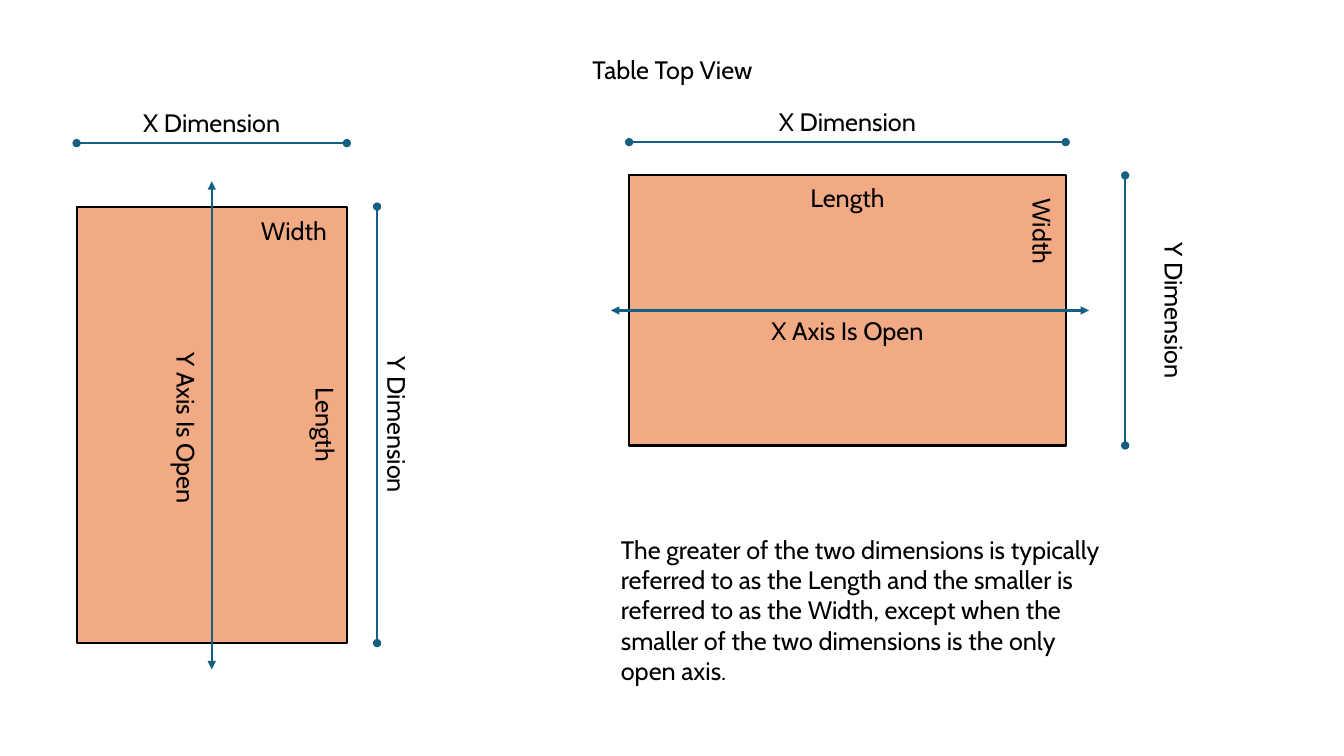
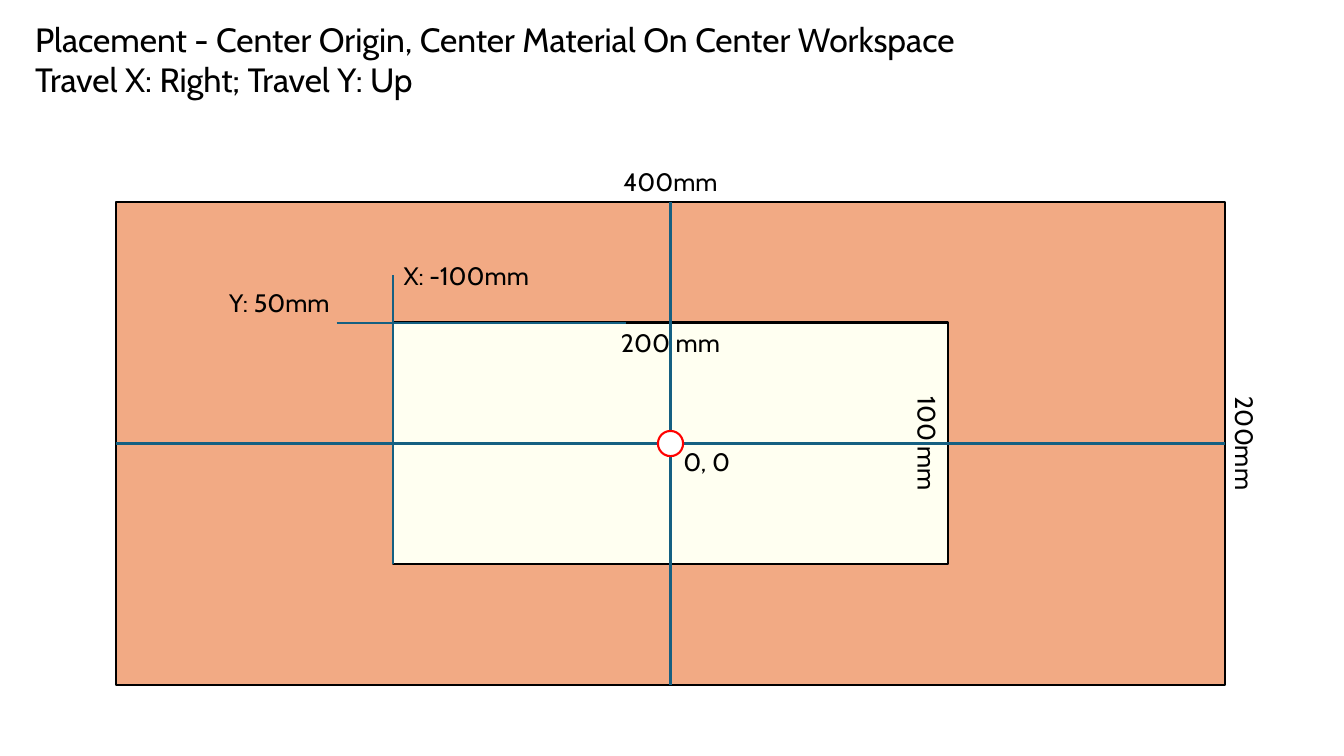
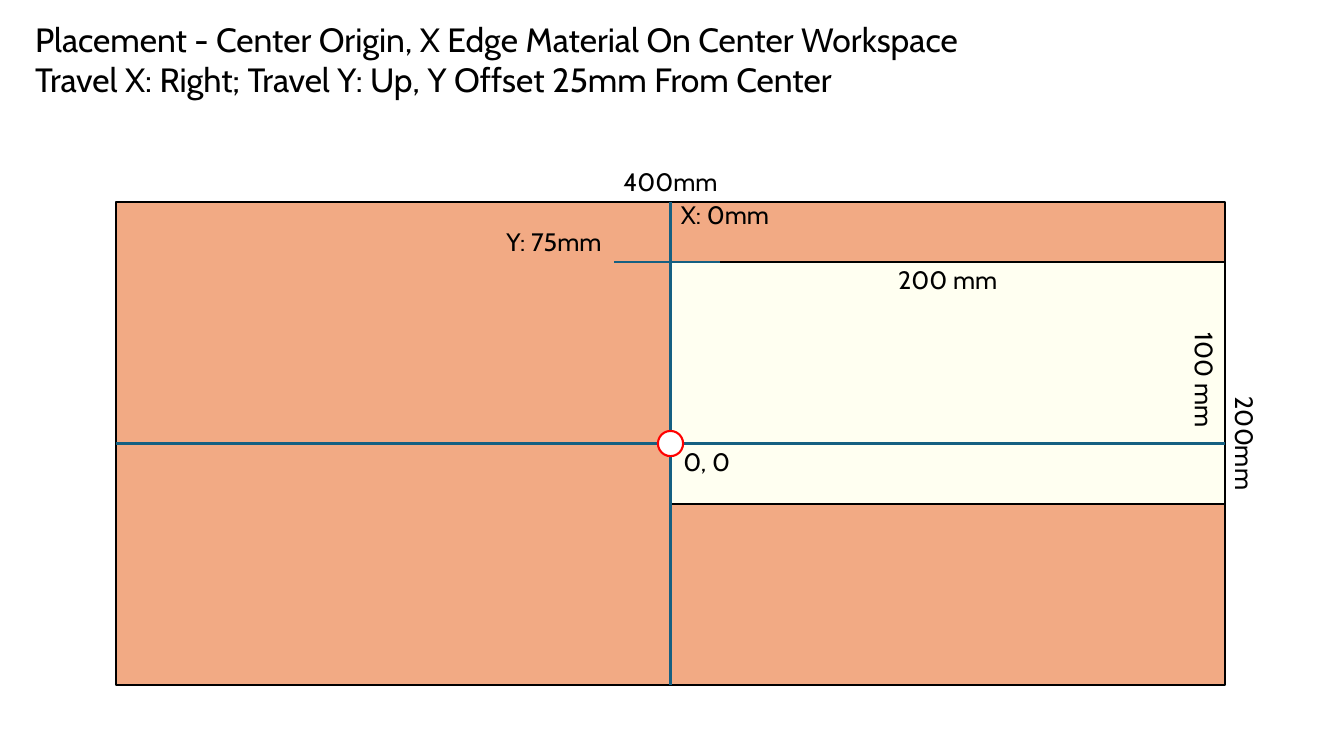
import lxml.etree
import pptx
import pptx.dml.color
import pptx.enum.shapes
import pptx.enum.text
import pptx.oxml.ns
import pptx.util

FONT = "Cabin"
BLACK, WHITE, RED = "000000", "FFFFFF", "FF0000"
TABLE, MATERIAL, LINE = "F2AA84", "FFFFF1", "156082"
STROKE = 1.5
LABEL_H = 0.4

SHAPE = pptx.enum.shapes.MSO_SHAPE
ALIGN = pptx.enum.text.PP_ALIGN
ANCHOR = pptx.enum.text.MSO_ANCHOR
AUTO = pptx.enum.text.MSO_AUTO_SIZE
inch = pptx.util.Inches


def rgb(color):
    return pptx.dml.color.RGBColor.from_string(color)


def add_text(slide, box, paragraphs, size=18, align=ALIGN.LEFT,
             anchor=ANCHOR.TOP, auto=AUTO.NONE):
    sp = slide.shapes.add_textbox(*map(inch, box))
    tf = sp.text_frame
    tf.word_wrap = True
    tf.auto_size = auto
    tf.vertical_anchor = anchor
    for i, text in enumerate(paragraphs):
        p = tf.paragraphs[0] if i == 0 else tf.add_paragraph()
        p.alignment = align
        r = p.add_run()
        r.text = text
        r.font.name = FONT
        r.font.size = pptx.util.Pt(size)
        r.font.color.rgb = rgb(BLACK)
    return sp


def add_label(slide, text, cx, cy, width, align=ALIGN.CENTER, rotation=0):
    """One line of text around the centre (cx, cy); width runs along the text."""
    box = (cx - width / 2, cy - LABEL_H / 2, width, LABEL_H)
    sp = add_text(slide, box, [text], align=align, auto=AUTO.SHAPE_TO_FIT_TEXT)
    sp.rotation = rotation


def add_outlined(slide, kind, box, fill, line=BLACK):
    sp = slide.shapes.add_shape(kind, *map(inch, box))
    sp.shadow.inherit = False
    sp.fill.solid()
    sp.fill.fore_color.rgb = rgb(fill)
    sp.line.color.rgb = rgb(line)
    sp.line.width = pptx.util.Pt(STROKE)
    return sp


def add_line(slide, x1, y1, x2, y2, ends=None):
    """Straight line; ends names the arrowhead used at both ends."""
    line = slide.shapes.add_connector(
        pptx.enum.shapes.MSO_CONNECTOR.STRAIGHT, *map(inch, (x1, y1, x2, y2)))
    line.line.color.rgb = rgb(LINE)
    line.line.width = pptx.util.Pt(STROKE)
    qn = pptx.oxml.ns.qn
    if ends:
        ln = line.line._get_or_add_ln()
        for tag in ("a:headEnd", "a:tailEnd"):
            lxml.etree.SubElement(ln, qn(tag), type=ends)
    lxml.etree.SubElement(line._element.spPr, qn("a:effectLst"))
    return line


def add_dimensions(slide, box, x_gap, y_gap, y_label_gap):
    """Dimension lines above and to the right of the box."""
    left, top, width, height = box
    y, x = top - x_gap, left + width + y_gap
    add_label(slide, "X Dimension", left + width / 2, y - 0.2, width)
    add_line(slide, left, y, left + width, y, "oval")
    add_label(slide, "Y Dimension", x + y_label_gap, top + height / 2, height,
              rotation=90)
    add_line(slide, x, top, x, top + height, "oval")


def draw_tall_table(slide, box):
    left, top, width, height = box
    right, cx, cy = left + width, left + width / 2, top + height / 2
    add_outlined(slide, SHAPE.RECTANGLE, box, TABLE)
    add_dimensions(slide, box, 0.63, 0.3, 0.2)
    add_label(slide, "Y Axis Is Open", cx - 0.25, cy + 0.03, 1.83, rotation=90)
    add_line(slide, cx, top + height + 0.26, cx, top - 0.25, "triangle")
    add_label(slide, "Length", right - 0.21, cy, 1.86, rotation=90)
    add_label(slide, "Width", right - 0.77, top + 0.24, 1.34, ALIGN.RIGHT)


def draw_wide_table(slide, box):
    left, top, width, height = box
    right, cx, cy = left + width, left + width / 2, top + height / 2
    add_outlined(slide, SHAPE.RECTANGLE, box, TABLE)
    add_dimensions(slide, box, 0.33, 0.59, 0.49)
    add_label(slide, "X Axis Is Open", cx, cy + 0.2, 1.83)
    add_line(slide, right + 0.23, cy, left - 0.18, cy, "triangle")
    add_label(slide, "Length", cx, top + 0.22, 2.68)
    add_label(slide, "Width", right - 0.23, top + 0.67, 1.08, ALIGN.LEFT, 90)


def build_table_slide(slide):
    short, long = 2.68, 4.33
    add_label(slide, "Table Top View", 6.67, 0.69, 3.72)
    draw_tall_table(slide, (0.76, 2.05, short, long))
    draw_wide_table(slide, (6.24, 1.74, long, short))
    add_text(slide, (6.06, 5.14, 4.97, 1.82), [
        "The greater of the two dimensions is typically referred to as the "
        "Length and the smaller is referred to as the Width, except when the "
        "smaller of the two dimensions is the only open axis."],
        anchor=ANCHOR.MIDDLE)


def draw_workspace(slide, box, material):
    """Workspace with the material box on it, its axes and its origin."""
    left, top, width, height = box
    cx, cy = left + width / 2, top + height / 2
    workspace = add_outlined(slide, SHAPE.RECTANGLE, box, TABLE)
    add_outlined(slide, SHAPE.RECTANGLE, material, MATERIAL)
    axes = (((cx, top, cx, top + height), (0, 2)),
            ((left, cy, left + width, cy), (1, 3)))
    for points, (begin, end) in axes:
        axis = add_line(slide, *points)
        axis.begin_connect(workspace, begin)
        axis.end_connect(workspace, end)
    size = 0.25
    add_outlined(slide, SHAPE.OVAL, (cx - size / 2, cy - size / 2, size, size),
                 WHITE, RED)
    add_label(slide, "400mm", cx, top - 0.2, 2.94)
    add_label(slide, "200mm", left + width + 0.2, cy, 2.94, rotation=90)
    add_label(slide, "0, 0", cx + 0.36, cy + 0.18, 0.77)


def draw_material_marks(slide, box, x_mm, y_mm, x_end, y_end, shift):
    """Size labels inside the material, and marks at its top left corner.

    x_end and y_end tell how far the marks run past the corner."""
    left, top, width, height = box
    add_label(slide, "200 mm", left + width / 2, top + 0.2 + shift, width)
    add_label(slide, "100 mm", left + width - 0.2, top + height / 2 + shift,
              height, rotation=90)
    add_line(slide, left, top - 0.47, left, top + x_end)
    add_label(slide, f"X: {x_mm}mm", left + 0.74, top - 0.47, 1.47, ALIGN.LEFT)
    add_line(slide, left - 0.56, top, left + y_end, top)
    add_label(slide, f"Y: {y_mm}mm", left - 0.99, top - 0.2, 1.47, ALIGN.LEFT)


def build_placement_slide(slide, title, x_mm, y_mm, x_end, y_end, shift=0):
    workspace = left, top, width, height = 1.15, 2, 11, 4.8
    material = (left + width * (0.5 + x_mm / 400),
                top + height * (0.5 - y_mm / 200), width / 2, height / 2)
    add_text(slide, (0.25, 0.14, 12.66, 1.06), title, size=24)
    draw_workspace(slide, workspace, material)
    draw_material_marks(slide, material, x_mm, y_mm, x_end, y_end, shift)


def main():
    prs = pptx.Presentation()
    prs.slide_width, prs.slide_height = inch(13.33), inch(7.5)
    table, center, edge = (prs.slides.add_slide(prs.slide_layouts[6])
                           for _ in range(3))
    build_table_slide(table)
    build_placement_slide(
        center,
        ["Placement - Center Origin, Center Material On Center Workspace",
         "Travel X: Right; Travel Y: Up"],
        x_mm=-100, y_mm=50, x_end=2.4, y_end=2.31)
    build_placement_slide(
        edge,
        ["Placement - Center Origin, X Edge Material On Center Workspace",
         "Travel X: Right; Travel Y: Up, Y Offset 25mm From Center"],
        x_mm=0, y_mm=75, x_end=0.4, y_end=0.49, shift=-0.03)
    prs.save("out.pptx")


if __name__ == "__main__":
    main()
